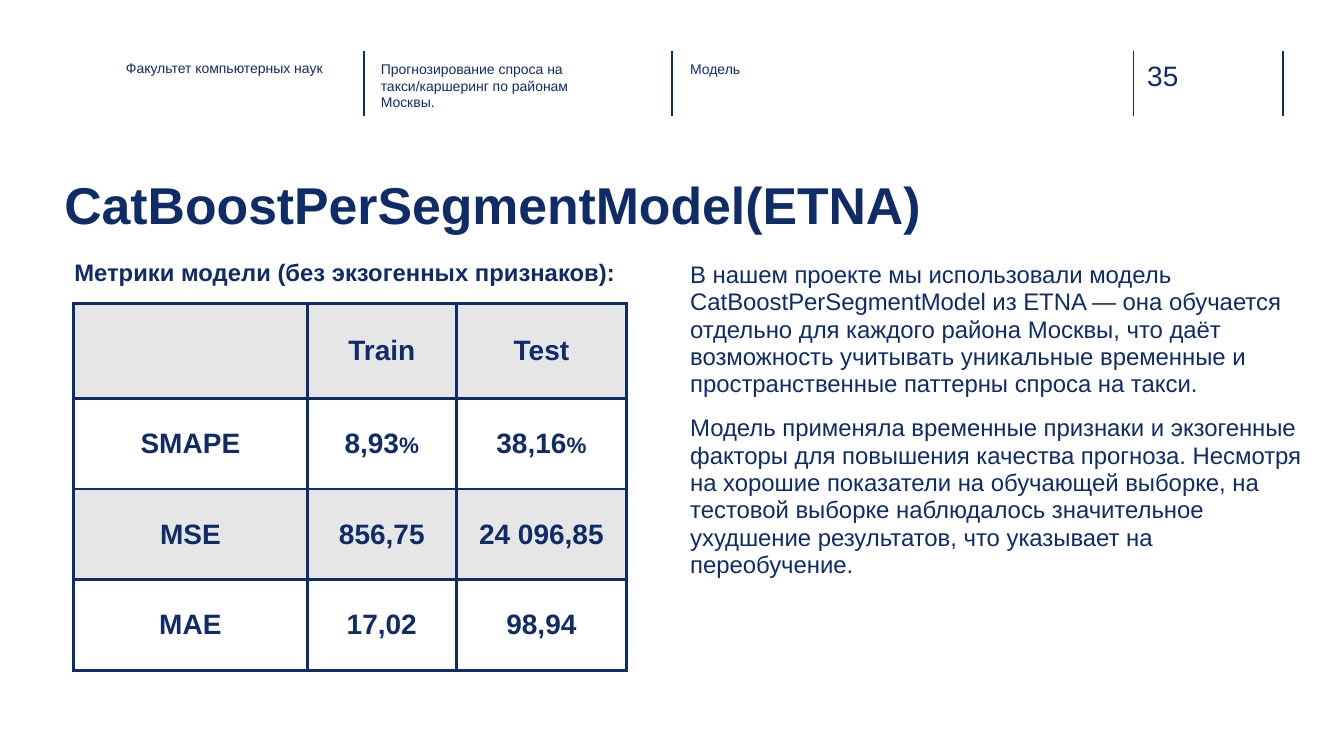
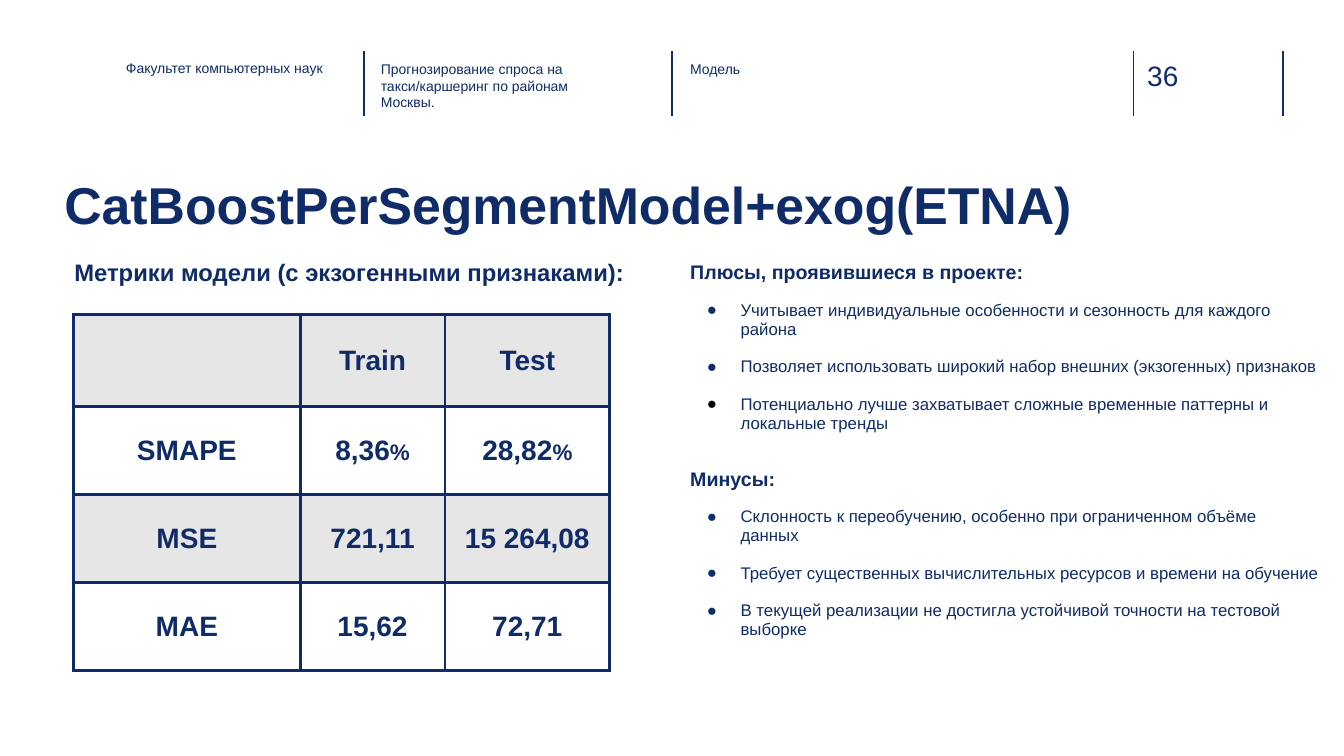
from lxml.etree import SubElement
from pptx import Presentation
from pptx.dml.color import RGBColor
from pptx.enum.shapes import MSO_CONNECTOR
from pptx.enum.text import MSO_ANCHOR, MSO_AUTO_SIZE, PP_ALIGN
from pptx.oxml import parse_xml
from pptx.oxml.ns import nsdecls, qn
from pptx.util import Pt

FONT = "Arial"
COLORS = {
    "text": "0F2C68",
    "header": "0E2D69",
    "rule": "102D69",
    "band": "E7E6E6",
    "white": "FFFFFF",
    "black": "000000",
}

# Header: text, left, top, width, size, colour
HEADER_TEXTS = [
    ("Факультет компьютерных наук", 90, 42.5, 150, 10, "text"),
    ("Прогнозирование спроса на такси/каршеринг по районам Москвы.", 272, 43, 163, 10, "header"),
    ("Модель", 493, 43, 163, 10, "header"),
]
RULE_LEFTS = [260, 480, 809.5, 916.5]
RULE_TOP, RULE_BOTTOM = 36.5, 83

TABLE_LEFT, TABLE_BOTTOM = 52.5, 479
COLUMN_WIDTHS = [167, 106.5, 121.5]
ROW_HEIGHTS = [67.6, 64.8, 64.8, 64.8]

# Body paragraphs: kind, text, bullet colour
SLIDES = [
    {
        "page": 35,
        "title": "CatBoostPerSegmentModel(ETNA)",
        "caption": "Метрики модели (без экзогенных признаков):",
        "table_scale": 1,
        "rows": [
            ("", "Train", "Test"),
            ("SMAPE", "8,93%", "38,16%"),
            ("MSE", "856,75", "24 096,85"),
            ("MAE", "17,02", "98,94"),
        ],
        "body": [
            ("prose", "В нашем проекте мы использовали модель CatBoostPerSegmentModel из ETNA — она "
             "обучается отдельно для каждого района Москвы, что даёт возможность учитывать "
             "уникальные временные и пространственные паттерны спроса на такси.", None),
            ("prose", "Модель применяла временные признаки и экзогенные факторы для повышения "
             "качества прогноза. Несмотря на хорошие показатели на обучающей выборке, на тестовой "
             "выборке наблюдалось значительное ухудшение результатов, что указывает на "
             "переобучение.", None),
        ],
    },
    {
        "page": 36,
        "title": "CatBoostPerSegmentModel+exog(ETNA)",
        "caption": "Метрики модели (с экзогенными признаками):",
        "table_scale": 0.97,
        "rows": [
            ("", "Train", "Test"),
            ("SMAPE", "8,36%", "28,82%"),
            ("MSE", "721,11", "15 264,08"),
            ("MAE", "15,62", "72,71"),
        ],
        "body": [
            ("heading", "Плюсы, проявившиеся в проекте:", None),
            ("bullet", "Учитывает индивидуальные особенности и сезонность для каждого района", "text"),
            ("bullet", "Позволяет использовать широкий набор внешних (экзогенных) признаков", "text"),
            ("bullet", "Потенциально лучше захватывает сложные временные паттерны и локальные тренды",
             "black"),
            ("heading", "Минусы:", None),
            ("bullet", "Склонность к переобучению, особенно при ограниченном объёме данных", "text"),
            ("bullet", "Требует существенных вычислительных ресурсов и времени на обучение", "text"),
            ("bullet", "В текущей реализации не достигла устойчивой точности на тестовой выборке",
             "text"),
        ],
    },
]
BODY_SIZES = {"prose": 17.1, "heading": 14, "bullet": 12}


def rgb(name):
    return RGBColor.from_string(COLORS[name])


def style_font(font, size, color="text", bold=False):
    font.name, font.size, font.bold = FONT, Pt(size), bold
    font.color.rgb = rgb(color)


def set_frame(frame, inset=0, top_inset=None):
    frame.word_wrap = True
    frame.auto_size = MSO_AUTO_SIZE.NONE
    frame.vertical_anchor = MSO_ANCHOR.TOP
    frame.margin_left = frame.margin_right = frame.margin_bottom = Pt(inset)
    frame.margin_top = Pt(inset if top_inset is None else top_inset)


def add_text(slide, text, left, top, width, height, size, color="text", bold=False, inset=0):
    box = slide.shapes.add_textbox(Pt(left), Pt(top), Pt(width), Pt(height))
    set_frame(box.text_frame, inset)
    para = box.text_frame.paragraphs[0]
    para.text = text
    style_font(para.runs[0].font, size, color, bold)
    return para


def add_header(slide, page):
    for left in RULE_LEFTS:
        rule = slide.shapes.add_connector(
            MSO_CONNECTOR.STRAIGHT, Pt(left), Pt(RULE_TOP), Pt(left), Pt(RULE_BOTTOM))
        rule.line.color.rgb = rgb("rule")
        rule.line.width = Pt(1)
        SubElement(rule._element.spPr, qn("a:effectLst"))
    for text, left, top, width, size, color in HEADER_TEXTS:
        add_text(slide, text, left, top, width, 32, size, color)
    add_text(slide, str(page), 819.5, 42, 52, 24, 20, "rule")


def set_title(slide, text):
    title = slide.shapes.title
    title.left, title.top, title.width, title.height = Pt(46), Pt(114), Pt(762), Pt(73)
    set_frame(title.text_frame, top_inset=3)
    title.text_frame.text = text
    para = title.text_frame.paragraphs[0]
    para.alignment = PP_ALIGN.LEFT
    para.line_spacing = 1.15
    style_font(para.runs[0].font, 37, bold=True)


def add_bullet(para, color):
    properties = para._p.get_or_add_pPr()
    properties.set("marL", str(Pt(36)))
    properties.set("indent", str(-Pt(24)))
    bullet_color = SubElement(properties, qn("a:buClr"))
    SubElement(bullet_color, qn("a:srgbClr")).set("val", COLORS[color])
    SubElement(properties, qn("a:buFont")).set("typeface", FONT)
    SubElement(properties, qn("a:buChar")).set("char", "●")


def add_body(slide, items):
    box = slide.shapes.add_textbox(Pt(493), Pt(187), Pt(449.5), Pt(330))
    frame = box.text_frame
    set_frame(frame)
    previous = None
    for kind, text, bullet_color in items:
        para = frame.add_paragraph() if previous else frame.paragraphs[0]
        para.text = text
        para.line_spacing = 0.95
        if previous and not previous == kind == "bullet":
            para.space_before = Pt(12)
        if kind == "bullet":
            para.space_after = Pt(13)
            add_bullet(para, bullet_color)
        style_font(para.runs[0].font, BODY_SIZES[kind], bold=kind == "heading")
        previous = kind


def add_borders(cell):
    properties = cell._tc.get_or_add_tcPr()
    for position, side in enumerate(("lnL", "lnR", "lnT", "lnB")):
        properties.insert(position, parse_xml(
            f'<a:{side} {nsdecls("a")} w="{Pt(2.25)}"><a:solidFill>'
            f'<a:srgbClr val="{COLORS["text"]}"/></a:solidFill></a:{side}>'))


def fill_cell(cell, text, color):
    cell.fill.solid()
    cell.fill.fore_color.rgb = rgb(color)
    add_borders(cell)
    cell.vertical_anchor = MSO_ANCHOR.MIDDLE
    cell.margin_left = cell.margin_right = cell.margin_top = cell.margin_bottom = Pt(7.2)
    if not text:
        return
    para = cell.text_frame.paragraphs[0]
    para.alignment = PP_ALIGN.CENTER
    number = text.rstrip("%")
    for part, size in ((number, 20), (text[len(number):], 16)):
        if part:
            span = para.add_run()
            span.text = part
            style_font(span.font, size, bold=True)


def add_metrics(slide, rows, scale):
    widths = [width * scale for width in COLUMN_WIDTHS]
    heights = [height * scale for height in ROW_HEIGHTS]
    table = slide.shapes.add_table(
        len(rows), len(widths), Pt(TABLE_LEFT), Pt(TABLE_BOTTOM - sum(heights)),
        Pt(sum(widths)), Pt(sum(heights))).table
    table.first_row = table.horz_banding = False
    for column, width in zip(table.columns, widths):
        column.width = Pt(width)
    for index, (row, height, texts) in enumerate(zip(table.rows, heights, rows)):
        row.height = Pt(height)
        for cell, text in zip(row.cells, texts):
            fill_cell(cell, text, "white" if index % 2 else "band")


def main():
    deck = Presentation()
    deck.slide_width, deck.slide_height = Pt(960), Pt(540)
    for content in SLIDES:
        slide = deck.slides.add_slide(deck.slide_layouts[5])
        add_header(slide, content["page"])
        set_title(slide, content["title"])
        add_body(slide, content["body"])
        caption = add_text(slide, content["caption"], 46, 173.5, 410.5, 52, 17, bold=True, inset=7.2)
        caption.line_spacing = 1.15
        add_metrics(slide, content["rows"], content["table_scale"])
    deck.save("out.pptx")


if __name__ == "__main__":
    main()
